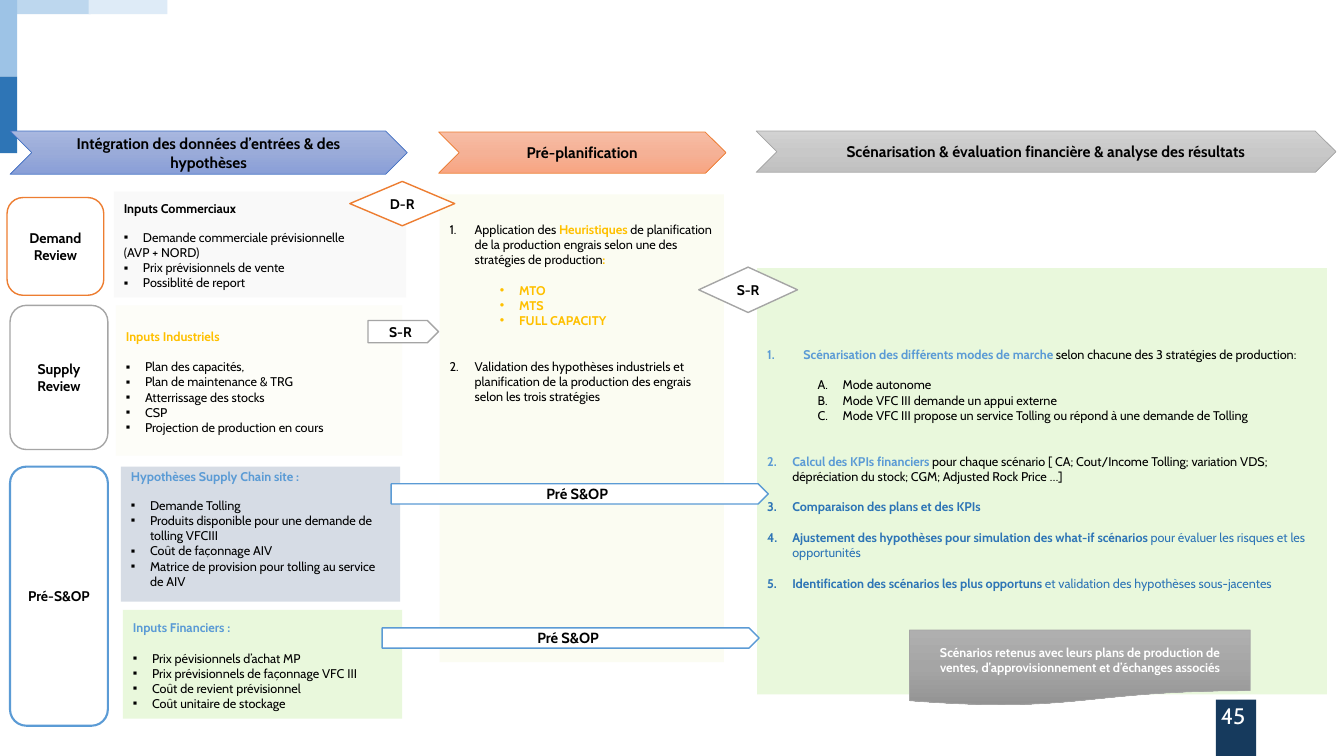
from dataclasses import dataclass
from copy import deepcopy
from lxml import etree
from pptx import Presentation
from pptx.dml.color import RGBColor
from pptx.enum.shapes import MSO_SHAPE as SHAPE
from pptx.enum.text import MSO_ANCHOR as ANCHOR, PP_ALIGN as ALIGN
from pptx.oxml.ns import qn
from pptx.util import Inches, Pt

BLACK = RGBColor(0x00, 0x00, 0x00)
WHITE = RGBColor(0xFF, 0xFF, 0xFF)
GOLD = RGBColor(0xFF, 0xC0, 0x00)
SKY = RGBColor(0x5B, 0x9B, 0xD5)
BLUE = RGBColor(0x2E, 0x75, 0xB6)
ROYAL = RGBColor(0x44, 0x72, 0xC4)
NAVY = RGBColor(0x16, 0x3A, 0x5D)
ORANGE = RGBColor(0xED, 0x7D, 0x31)
GREY = RGBColor(0xA5, 0xA5, 0xA5)
BLUE_PALE = RGBColor(0xBD, 0xD7, 0xEE)
BLUE_SOFT = RGBColor(0x9D, 0xC3, 0xE6)
BLUE_FAINT = RGBColor(0xDE, 0xEB, 0xF7)
GREEN_PALE = RGBColor(0xE9, 0xF8, 0xDC)
IVORY = RGBColor(0xFB, 0xFC, 0xF2)
IVORY_LIGHT = RGBColor(0xFD, 0xFD, 0xF8)
SMOKE = RGBColor(0xF9, 0xF9, 0xF9)
SLATE = RGBColor(0xD6, 0xDC, 0xE5)
BLUE_SHADES = [RGBColor(0xA8, 0xB7, 0xDF), RGBColor(0x9A, 0xAB, 0xD9), RGBColor(0x88, 0x9E, 0xD7)]
ORANGE_SHADES = [RGBColor(0xF7, 0xBD, 0xA5), RGBColor(0xF5, 0xB1, 0x96), RGBColor(0xF8, 0xA5, 0x82)]
GREY_SHADES = [RGBColor(0xD2, 0xD2, 0xD2), RGBColor(0xC8, 0xC8, 0xC8), RGBColor(0xC0, 0xC0, 0xC0)]
DARK_SHADES = [RGBColor(0xAF, 0xAF, 0xAF), GREY, RGBColor(0x93, 0x93, 0x93)]


@dataclass
class Para:
    runs: list
    bullet: object = None
    margin: float = 0
    hang: float = 0
    before: float = 0
    level: int = 0


def heading(text, color):
    return Para([(text, color, True)])


def squares(*texts, before=11):
    return [Para([(t, BLACK, False)], "▪", 0.19, 0.19, before if i == 0 else 0)
            for i, t in enumerate(texts)]


def step(number, *runs, before=11, margin=0.25):
    return Para(list(runs), number, margin, margin, before)


def sub_items(texts, bullet, margin, hang, color, bold):
    return [Para([(t, color, bold)], bullet, margin, hang, 11 if i == 0 else 0, 1)
            for i, t in enumerate(texts)]


class Board:
    font = "Cabin"

    def __init__(self, slide):
        self.shapes = slide.shapes

    def shape(self, kind, box, fill, line=None, weight=1):
        sp = self.shapes.add_shape(kind, *map(Inches, box))
        sp.shadow.inherit = False
        if isinstance(fill, list):
            self.shade(sp, fill)
        else:
            sp.fill.solid()
            sp.fill.fore_color.rgb = fill
        if line is None:
            sp.line.fill.background()
        else:
            sp.line.color.rgb = line
            sp.line.width = Pt(weight)
        return sp

    def shade(self, sp, colors):
        sp.fill.gradient()
        sp.fill.gradient_angle = 270
        stops = next(sp._element.iter(qn("a:gsLst")))
        stops.insert(1, deepcopy(stops[0]))
        for i, (stop, color) in enumerate(zip(sp.fill.gradient_stops, colors)):
            stop.position = i / 2
            stop.color.rgb = color

    def style(self, r, size, color, bold):
        r.font.name = self.font
        r.font.size = Pt(size)
        r.font.bold = bold
        r.font.color.rgb = color

    def label(self, kind, box, text, fill, line, weight=1, size=10, color=BLACK):
        sp = self.shape(kind, box, fill, line, weight)
        tf = sp.text_frame
        tf.word_wrap = True
        tf.vertical_anchor = ANCHOR.MIDDLE
        tf.margin_top = tf.margin_bottom = 0
        tf.text = text
        p = tf.paragraphs[0]
        p.alignment = ALIGN.CENTER
        self.style(p.runs[0], size, color, True)

    def panel(self, box, fill, top, paras):
        tf = self.shape(SHAPE.RECTANGLE, box, fill).text_frame
        tf.word_wrap = True
        tf.vertical_anchor = ANCHOR.TOP
        tf.margin_top = Inches(top)
        tf.margin_bottom = 0
        for i, para in enumerate(paras):
            p = tf.paragraphs[0] if i == 0 else tf.add_paragraph()
            p.alignment = ALIGN.LEFT
            p.level = para.level
            if i and para.before:
                p.space_before = Pt(para.before)
            self.bullet(p, para)
            for text, color, bold in para.runs:
                r = p.add_run()
                r.text = text
                self.style(r, 9, color, bold)

    def bullet(self, p, para):
        if para.bullet is None:
            return
        pPr = p._p.get_or_add_pPr()
        pPr.set("marL", str(Inches(para.margin)))
        pPr.set("indent", str(-Inches(para.hang)))
        if isinstance(para.bullet, int):
            etree.SubElement(pPr, qn("a:buAutoNum"), type="arabicPeriod", startAt=str(para.bullet))
        elif para.bullet == "A":
            etree.SubElement(pPr, qn("a:buAutoNum"), type="alphaUcPeriod")
        else:
            etree.SubElement(pPr, qn("a:buFont"), typeface="Arial")
            etree.SubElement(pPr, qn("a:buChar"), char=para.bullet)

    def page_number(self, box, text):
        tf = self.shapes.add_textbox(*map(Inches, box)).text_frame
        tf.word_wrap = True
        tf.text = text
        p = tf.paragraphs[0]
        p.alignment = ALIGN.RIGHT
        p.line_spacing = 0.9
        self.style(p.runs[0], 16, WHITE, False)


def main():
    prs = Presentation()
    prs.slide_width, prs.slide_height = Inches(13.33), Inches(7.5)
    board = Board(prs.slides.add_slide(prs.slide_layouts[6]))

    for box, color in [((12.06, 6.94, 0.4, 0.56), NAVY), ((0.14, -0.01, 0.76, 0.15), BLUE_PALE),
                       ((0, 0, 0.17, 0.76), BLUE_SOFT), ((0, 0.76, 0.17, 0.76), BLUE),
                       ((0.88, -0.01, 0.78, 0.15), BLUE_FAINT)]:
        board.shape(SHAPE.RECTANGLE, box, color)

    for box, text, shades, line in [
            ((0.1, 1.3, 3.94, 0.43), "Intégration des données d’entrées & des hypothèses", BLUE_SHADES, ROYAL),
            ((4.35, 1.31, 2.85, 0.41), "Pré-planification", ORANGE_SHADES, ORANGE),
            ((7.5, 1.3, 5.75, 0.41), "Scénarisation & évaluation financière & analyse des résultats",
             GREY_SHADES, GREY)]:
        board.label(SHAPE.CHEVRON, box, text, shades, line, 0.5, 11)

    board.panel((1.22, 6.05, 2.77, 1.08), GREEN_PALE, 0.1, [
        heading("Inputs Financiers :", SKY),
        *squares("Prix pévisionnels d’achat MP", "Prix prévisionnels de façonnage VFC III",
                 "Coût de revient prévisionnel", "Coût unitaire de stockage")])
    board.panel((4.36, 1.93, 2.82, 4.64), IVORY, 0.27, [
        step(1, ("Application des ", BLACK, False), ("Heuristiques ", GOLD, True),
             ("de planification de la production engrais selon une des stratégies de production", BLACK, False),
             (":", GOLD, True)),
        *sub_items(["MTO", "MTS", "FULL CAPACITY"], "•", 0.69, 0.19, GOLD, True),
        step(2, ("Validation des hypothèses industriels et planification de la production des engrais "
                 "selon les trois stratégies", BLACK, False), before=22)])
    board.panel((1.13, 1.9, 2.9, 1.05), SMOKE, 0.09, [
        heading("Inputs Commerciaux", BLACK),
        *squares("Demande commerciale prévisionnelle", before=10),
        Para([("(AVP + NORD)", BLACK, False)]),
        *squares("Prix prévisionnels de vente", "Possiblité de report", before=0)])
    board.panel((1.15, 3.03, 2.84, 1.49), IVORY_LIGHT, 0.23, [
        heading("Inputs Industriels", GOLD),
        *squares("Plan des capacités,", "Plan de maintenance & TRG", "Atterrissage des stocks",
                 "CSP", "Projection de production en cours")])
    board.panel((1.2, 4.63, 2.77, 1.34), SLATE, 0.02, [
        heading("Hypothèses Supply Chain site :", SKY),
        *squares("Demande Tolling", "Produits disponible pour une demande de tolling VFCIII",
                 "Coût de façonnage AIV", "Matrice de provision pour tolling au service de AIV", before=10)])
    board.panel((7.51, 2.66, 5.65, 4.23), GREEN_PALE, 0.78, [
        step(1, ("Scénarisation des différents modes de marche ", SKY, True),
             ("selon chacune des 3 stratégies de production:", BLACK, False), margin=0.36),
        *sub_items(["Mode autonome", "Mode VFC III demande un appui externe",
                    "Mode VFC III propose un service Tolling ou répond à une demande de Tolling"],
                   "A", 0.75, 0.25, BLACK, False),
        step(2, ("Calcul des KPIs financiers ", SKY, True),
             ("pour chaque scénario [ CA; Cout/Income Tolling; variation VDS; dépréciation du stock; "
              "CGM; Adjusted Rock Price …]", BLACK, False), before=22),
        step(3, ("Comparaison des plans et des KPIs", BLUE, True)),
        step(4, ("Ajustement des hypothèses pour simulation des what-if scénarios ", BLUE, True),
             ("pour évaluer les risques et les opportunités", BLUE, False)),
        step(5, ("Identification des scénarios les plus opportuns ", BLUE, True),
             ("et validation des hypothèses sous-jacentes", BLUE, False))])

    for kind, box, text, line, weight, size in [
            (SHAPE.ROUNDED_RECTANGLE, (0.07, 1.96, 0.96, 0.97), "Demand Review", ORANGE, 1, 10),
            (SHAPE.ROUNDED_RECTANGLE, (0.1, 3.03, 0.97, 1.43), "Supply Review", GREY, 1, 10),
            (SHAPE.ROUNDED_RECTANGLE, (0.1, 4.63, 0.97, 2.57), "Pré-S&OP", SKY, 1.5, 10),
            (SHAPE.PENTAGON, (3.65, 3.18, 0.7, 0.22), "S-R", GREY, 1, 10),
            (SHAPE.PENTAGON, (3.88, 4.8, 3.74, 0.2), "Pré S&OP", SKY, 1, 10.5),
            (SHAPE.PENTAGON, (3.79, 6.23, 3.74, 0.2), "Pré S&OP", SKY, 1, 10.5),
            (SHAPE.FLOWCHART_DECISION, (6.93, 2.65, 0.98, 0.45), "S-R", GREY, 1, 10),
            (SHAPE.FLOWCHART_DECISION, (3.47, 1.8, 1.04, 0.44), "D-R", ORANGE, 1, 10)]:
        board.label(kind, box, text, WHITE, line, weight, size)

    board.label(SHAPE.FLOWCHART_DOCUMENT, (9.02, 6.25, 3.38, 0.75),
                "Scénarios retenus avec leurs plans de production de ventes, "
                "d’approvisionnement et d’échanges associés", DARK_SHADES, GREY, 0.5, 9, WHITE)
    board.page_number((9.45, 6.95, 3, 0.4), "45")
    prs.save("out.pptx")


if __name__ == "__main__":
    main()
